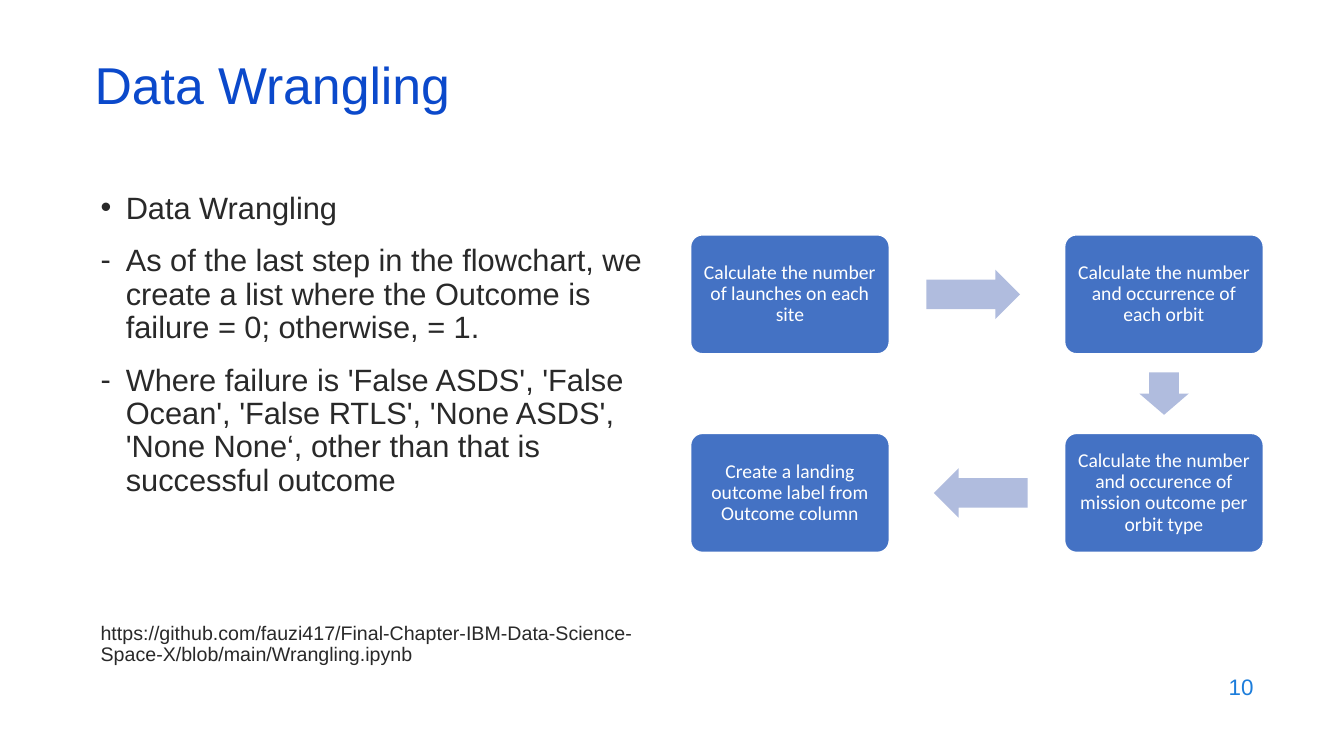
import lxml.etree
import pptx
import pptx.dml.color
import pptx.enum.shapes
import pptx.enum.text
import pptx.oxml.ns
import pptx.util

WIDTH, HEIGHT = 13.33, 7.5
COLORS = {
    "title": "0B49CB",
    "body": "292929",
    "number": "1C7DDB",
    "step": "4472C4",
    "arrow": "B0BCDE",
    "white": "FFFFFF",
}
STEP_WIDTH, STEP_HEIGHT = 1.97, 1.18
FLOW_LEFT, FLOW_TOP = 6.85, 2.33
COLUMN_PITCH, ROW_PITCH = 3.71, 1.97

STEPS = [
    (0, 0, "Calculate the number of launches on each site"),
    (1, 0, "Calculate the number and occurrence of each orbit"),
    (1, 1, "Calculate the number and occurence of mission outcome per orbit type"),
    (0, 1, "Create a landing outcome label from Outcome column"),
]
ARROWS = [(0.49, 0, 0.93, 0), (1, 0.5, 0.42, 90), (0.51, 1, 0.93, 180)]
POINTS = [
    ("•", "Data Wrangling"),
    ("-", "As of the last step in the flowchart, we create a list where the "
          "Outcome is failure = 0; otherwise, = 1."),
    ("-", "Where failure is 'False ASDS', 'False Ocean', 'False RTLS', "
          "'None ASDS', 'None None‘, other than that is successful outcome"),
]
NOTEBOOK = ("https://github.com/fauzi417/Final-Chapter-IBM-Data-Science-"
            "Space-X/blob/main/Wrangling.ipynb")


def rgb(name):
    return pptx.dml.color.RGBColor.from_string(COLORS[name])


def write(paragraph, text, size, color, font="Arial", align="LEFT",
          spacing=0.9, before=0, bullet=None):
    paragraph.alignment = getattr(pptx.enum.text.PP_ALIGN, align)
    paragraph.line_spacing = spacing
    paragraph.space_before = pptx.util.Pt(before)
    if bullet:
        properties = paragraph._p.get_or_add_pPr()
        indent = pptx.util.Inches(0.25)
        properties.set("marL", str(indent))
        properties.set("indent", str(-indent))
        typeface = lxml.etree.SubElement(properties, pptx.oxml.ns.qn("a:buFont"))
        typeface.set("typeface", font)
        mark = lxml.etree.SubElement(properties, pptx.oxml.ns.qn("a:buChar"))
        mark.set("char", bullet)
    run = paragraph.add_run()
    run.text = text
    run.font.name = font
    run.font.size = pptx.util.Pt(size)
    run.font.color.rgb = rgb(color)


def add_text_frame(slide, left, top, width, height, anchor="TOP"):
    box = slide.shapes.add_textbox(*(
        pptx.util.Inches(length) for length in
        (left * WIDTH, top * HEIGHT, width * WIDTH, height * HEIGHT)))
    frame = box.text_frame
    frame.word_wrap = True
    frame.vertical_anchor = getattr(pptx.enum.text.MSO_ANCHOR, anchor)
    return frame


def add_flow_shape(slide, kind, column, row, width, height, color):
    center_x = FLOW_LEFT + STEP_WIDTH / 2 + column * COLUMN_PITCH
    center_y = FLOW_TOP + STEP_HEIGHT / 2 + row * ROW_PITCH
    shape = slide.shapes.add_shape(
        getattr(pptx.enum.shapes.MSO_SHAPE, kind),
        pptx.util.Inches(center_x - width / 2),
        pptx.util.Inches(center_y - height / 2),
        pptx.util.Inches(width), pptx.util.Inches(height))
    shape.shadow.inherit = False
    shape.fill.solid()
    shape.fill.fore_color.rgb = rgb(color)
    shape.line.fill.background()
    return shape


def add_step(slide, column, row, text):
    step = add_flow_shape(slide, "ROUNDED_RECTANGLE", column, row,
                          STEP_WIDTH, STEP_HEIGHT, "step")
    step.adjustments[0] = 0.1
    step.line.color.rgb = rgb("white")
    step.line.width = pptx.util.Pt(1)
    frame = step.text_frame
    frame.word_wrap = True
    frame.vertical_anchor = pptx.enum.text.MSO_ANCHOR.MIDDLE
    frame.margin_left = frame.margin_right = pptx.util.Inches(0.06)
    frame.margin_top = frame.margin_bottom = pptx.util.Inches(0.06)
    write(frame.paragraphs[0], text, 14, "white", font="Calibri", align="CENTER")


def add_arrow(slide, column, row, length, rotation):
    arrow = add_flow_shape(slide, "RIGHT_ARROW", column, row, length, 0.49, "arrow")
    arrow.adjustments[0] = 0.6
    arrow.adjustments[1] = 0.5
    arrow.rotation = rotation


def add_points(slide):
    frame = add_text_frame(slide, 0.0675, 0.248, 0.434, 0.54)
    for index, (bullet, text) in enumerate(POINTS):
        paragraph = frame.add_paragraph() if index else frame.paragraphs[0]
        write(paragraph, text, 22, "body", bullet=bullet, before=14 if index else 0)


def main():
    presentation = pptx.Presentation()
    presentation.slide_width = pptx.util.Inches(WIDTH)
    presentation.slide_height = pptx.util.Inches(HEIGHT)
    slide = presentation.slides.add_slide(presentation.slide_layouts[6])

    title = add_text_frame(slide, 0.063, 0.079, 0.863, 0.08, anchor="MIDDLE")
    write(title.paragraphs[0], "Data Wrangling", 37, "title", spacing=0.8)
    add_points(slide)
    notebook = add_text_frame(slide, 0.0675, 0.818, 0.434, 0.075)
    write(notebook.paragraphs[0], NOTEBOOK, 14, "body")

    for step in STEPS:
        add_step(slide, *step)
    for arrow in ARROWS:
        add_arrow(slide, *arrow)

    number = add_text_frame(slide, 0.715, 0.879, 0.225, 0.059, anchor="MIDDLE")
    write(number.paragraphs[0], "10", 16, "number", align="RIGHT", spacing=1.0)
    presentation.save("out.pptx")


if __name__ == "__main__":
    main()
